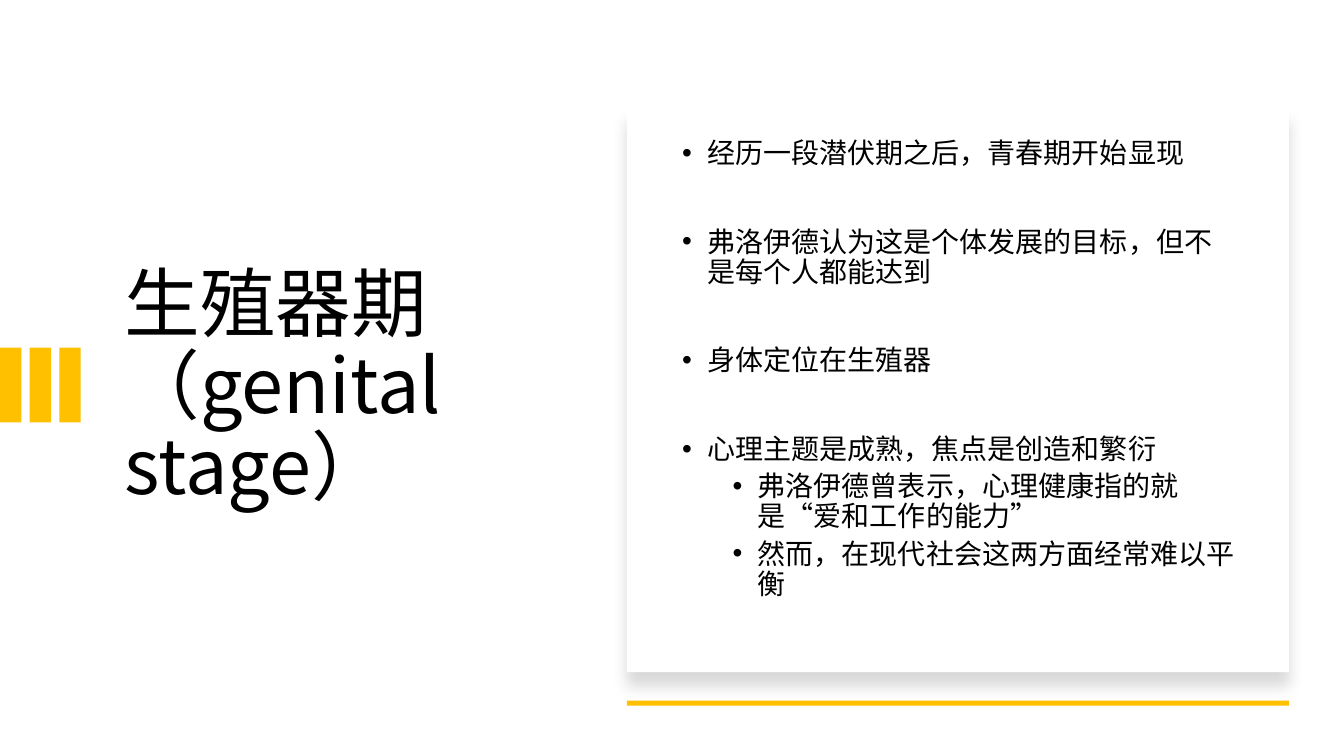
from lxml import etree
from pptx import Presentation
from pptx.dml.color import RGBColor
from pptx.enum.lang import MSO_LANGUAGE_ID
from pptx.enum.shapes import MSO_SHAPE
from pptx.enum.text import MSO_ANCHOR
from pptx.oxml import parse_xml
from pptx.oxml.ns import nsdecls, qn
from pptx.util import Pt

RECTANGLE = MSO_SHAPE.RECTANGLE
MIDDLE = MSO_ANCHOR.MIDDLE
CHINESE = MSO_LANGUAGE_ID.SIMPLIFIED_CHINESE
BLACK = RGBColor(0, 0, 0)
WHITE = RGBColor(255, 255, 255)
AMBER = RGBColor(255, 192, 0)
FONT = "Noto Sans CJK SC"

TITLE = "生殖器期（genital stage）"
POINTS = [
    ("经历一段潜伏期之后，青春期开始显现", 0),
    ("弗洛伊德认为这是个体发展的目标，但不是每个人都能达到", 0),
    ("身体定位在生殖器", 0),
    ("心理主题是成熟，焦点是创造和繁衍", 0),
    ("弗洛伊德曾表示，心理健康指的就是“爱和工作的能力”", 1),
    ("然而，在现代社会这两方面经常难以平衡", 1),
]
INDENTS = (18, 54)
GAPS = (41.6, 5)


def write(paragraph, text, *, size, before=0, level=0, indent=0, bullet=None):
    paragraph.line_spacing = 0.9
    paragraph.space_before = Pt(before)
    paragraph.level = level
    if bullet:
        properties = paragraph._p.get_or_add_pPr()
        properties.set("marL", str(Pt(indent)))
        properties.set("indent", str(-Pt(18)))
        etree.SubElement(properties, qn("a:buFont")).set("typeface", "Arial")
        etree.SubElement(properties, qn("a:buChar")).set("char", bullet)
    run = paragraph.add_run()
    run.text = text
    run.font.size = Pt(size)
    run.font.name = FONT
    run.font.color.rgb = BLACK
    run.font.language_id = CHINESE
    east_asian = etree.Element(qn("a:ea"), typeface=FONT)
    run.font._element.find(qn("a:latin")).addnext(east_asian)


class SlideBuilder:
    def __init__(self, slide):
        self.slide = slide

    def block(self, left, top, width, height, color):
        block = self.slide.shapes.add_shape(
            RECTANGLE, Pt(left), Pt(top), Pt(width), Pt(height))
        block.fill.solid()
        block.fill.fore_color.rgb = color
        block.line.fill.background()
        block.shadow.inherit = False
        return block

    def card(self, left, top, width, height):
        card = self.block(left, top, width, height, WHITE)
        effects = card._element.spPr.find(qn("a:effectLst"))
        effects.append(parse_xml(
            f'<a:outerShdw {nsdecls("a")} blurRad="{Pt(11)}" dist="{Pt(10)}" '
            'dir="5400000" algn="t" rotWithShape="0"><a:srgbClr val="000000">'
            '<a:alpha val="15000"/></a:srgbClr></a:outerShdw>'))

    def text_frame(self, left, top, width, height, bottom_inset=3.6):
        box = self.slide.shapes.add_textbox(
            Pt(left), Pt(top), Pt(width), Pt(height))
        frame = box.text_frame
        frame.word_wrap = True
        frame.vertical_anchor = MIDDLE
        frame.margin_bottom = Pt(bottom_inset)
        return frame

    def title(self, text, left, top, width, height):
        frame = self.text_frame(left, top, width, height)
        write(frame.paragraphs[0], text, size=54)

    def bullets(self, points, left, top, width, height):
        frame = self.text_frame(left, top, width, height, bottom_inset=30.2)
        for index, (text, level) in enumerate(points):
            paragraph = frame.add_paragraph() if index else frame.paragraphs[0]
            write(paragraph, text, size=20, level=level,
                  before=GAPS[level] if index else 0,
                  indent=INDENTS[level], bullet="•")


def main():
    presentation = Presentation()
    presentation.slide_width = Pt(960)
    presentation.slide_height = Pt(540)
    builder = SlideBuilder(
        presentation.slides.add_slide(presentation.slide_layouts[6]))
    builder.title(TITLE, 82, 108, 306.7, 339)
    for index in range(3):
        builder.block(index * 21.2, 248.4, 15.3, 53.3, AMBER)
    builder.card(447.8, 77, 473, 403.2)
    builder.bullets(POINTS, 480.2, 108, 411.1, 339)
    builder.block(447.8, 500.4, 473, 3.6, AMBER)
    presentation.save("out.pptx")


if __name__ == "__main__":
    main()
